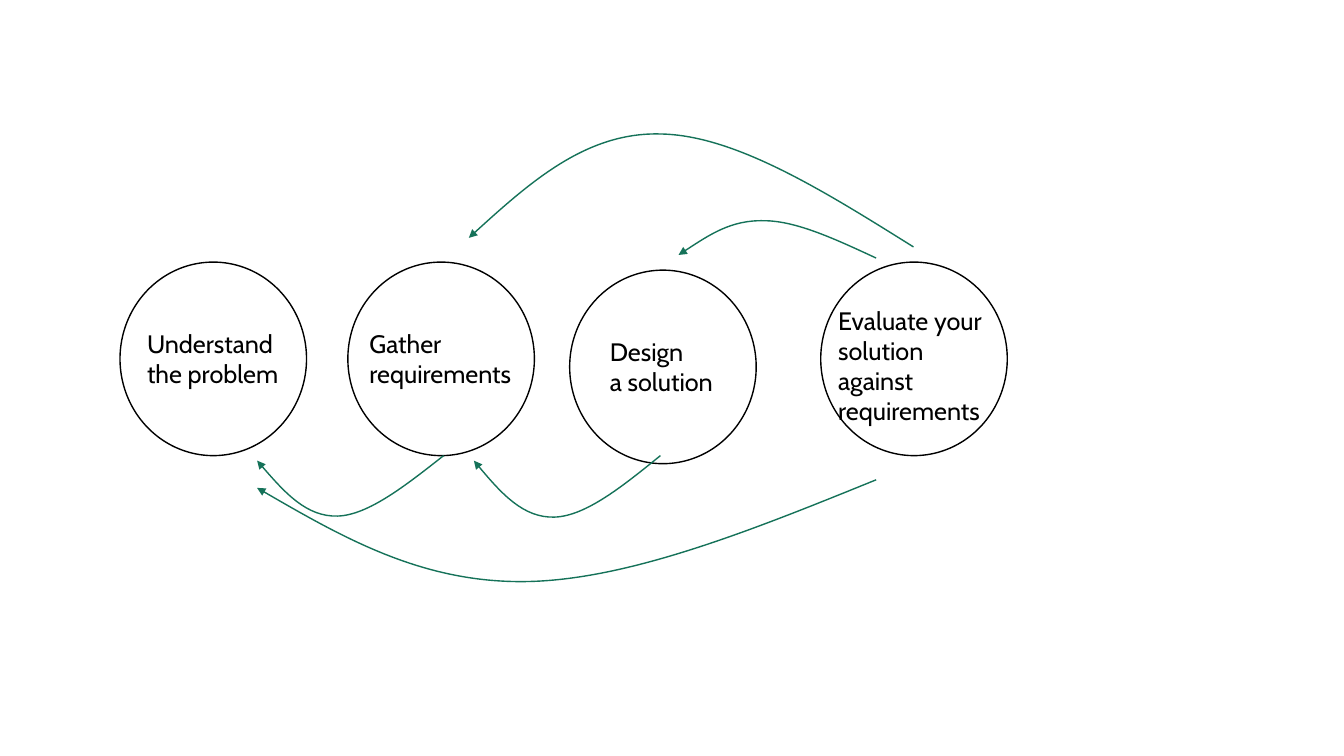
from pptx import Presentation
from pptx.dml.color import RGBColor
from pptx.enum.shapes import MSO_SHAPE
from pptx.enum.text import MSO_ANCHOR, MSO_AUTO_SIZE, PP_ALIGN
from pptx.oxml.ns import qn
from pptx.util import Inches, Pt
from lxml.etree import SubElement

CELL = 0.1
CIRCLE_WIDTH, CIRCLE_HEIGHT = 18.5, 19.2
LINE_HEIGHT, TEXT_PADDING = 3, 1.1

STEPS = [
    (11.9, 26, 15.1, 0, ["Understand", "the problem"]),
    (34.5, 26, 16.2, 0, ["Gather", "requirements"]),
    (56.5, 26.8, 12.5, 0, ["Design", "a solution"]),
    (81.4, 26, 17, 0.7, ["Evaluate your", "solution", "against", "requirements"]),
]

RETURNS = [
    [(86.9, 25.6), (83, 23.8), (79, 21.9), (75.8, 21.9), (72.5, 21.8), (69.9, 23.6), (67.3, 25.3)],
    [(90.6, 24.5), (81.8, 19), (72.9, 13.4), (65.5, 13.3), (58.2, 13.1), (52.3, 18.3), (46.5, 23.6)],
    [(86.9, 47.6), (74.6, 52.6), (62.2, 57.6), (52, 57.7), (41.8, 57.8), (33.6, 53.1), (25.5, 48.4)],
    [(65.5, 45.2), (61.8, 48.2), (58.1, 51.2), (55, 51.3), (51.9, 51.4), (49.4, 48.6), (47, 45.7)],
    [(44, 45.2), (40.2, 48.2), (36.5, 51.1), (33.5, 51.2), (30.4, 51.3), (27.9, 48.5), (25.5, 45.7)],
]


def color(value):
    return RGBColor.from_string(value)


def grid(cells):
    return Inches(cells * CELL)


def write(para, text, *, size, font, ink):
    span = para.add_run()
    span.text = text
    span.font.size = Pt(size)
    span.font.name = font
    span.font.color.rgb = color(ink)


class ProcessSlide:
    font = "Cabin"
    size = 18
    ink = "000000"
    accent = "157259"
    stroke = 1

    def __init__(self, deck):
        self.page = deck.slides.add_slide(deck.slide_layouts[6])

    def outline(self, shape, ink):
        shape.shadow.inherit = False
        shape.fill.background()
        shape.line.color.rgb = color(ink)
        shape.line.width = Pt(self.stroke)

    def circle(self, left, top):
        shape = self.page.shapes.add_shape(
            MSO_SHAPE.OVAL, grid(left), grid(top), grid(CIRCLE_WIDTH), grid(CIRCLE_HEIGHT))
        self.outline(shape, self.ink)

    def label(self, center, middle, width, lines):
        height = TEXT_PADDING + LINE_HEIGHT * len(lines)
        box = self.page.shapes.add_textbox(
            grid(center - width / 2), grid(middle - height / 2), grid(width), grid(height))
        frame = box.text_frame
        frame.word_wrap = False
        frame.auto_size = MSO_AUTO_SIZE.SHAPE_TO_FIT_TEXT
        frame.vertical_anchor = MSO_ANCHOR.TOP
        for index, line in enumerate(lines):
            para = frame.add_paragraph() if index else frame.paragraphs[0]
            para.alignment = PP_ALIGN.LEFT
            write(para, line, size=self.size, font=self.font, ink=self.ink)

    def step(self, left, top, width, drop, lines):
        self.circle(left, top)
        self.label(left + CIRCLE_WIDTH / 2, top + CIRCLE_HEIGHT / 2 + drop, width, lines)

    def curved_arrow(self, points):
        start, *controls = [(grid(x), grid(y)) for x, y in points]
        builder = self.page.shapes.build_freeform(*start)
        builder.add_line_segments(controls, close=False)
        shape = builder.convert_to_shape()
        self.outline(shape, self.accent)
        segments = list(shape.element.iter(qn("a:lnTo")))
        outline = segments[0].getparent()
        for first in range(0, len(segments), 3):
            curve = SubElement(outline, qn("a:cubicBezTo"))
            for segment in segments[first:first + 3]:
                curve.append(segment[0])
                outline.remove(segment)
        line = shape.element.spPr.find(qn("a:ln"))
        SubElement(line, qn("a:tailEnd"), type="triangle")


def main():
    deck = Presentation()
    deck.slide_width, deck.slide_height = Inches(13.33), Inches(7.5)
    slide = ProcessSlide(deck)
    for step in STEPS:
        slide.step(*step)
    for points in RETURNS:
        slide.curved_arrow(points)
    deck.save("out.pptx")


if __name__ == "__main__":
    main()
